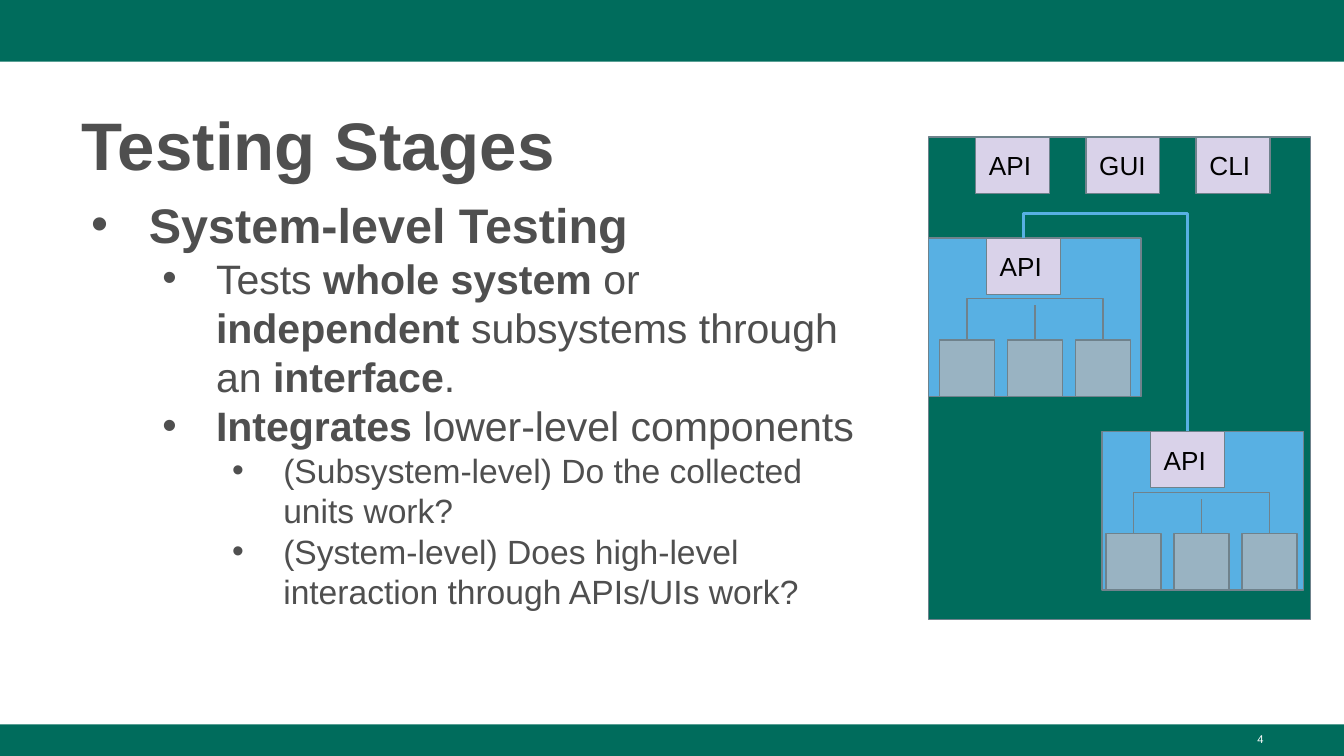
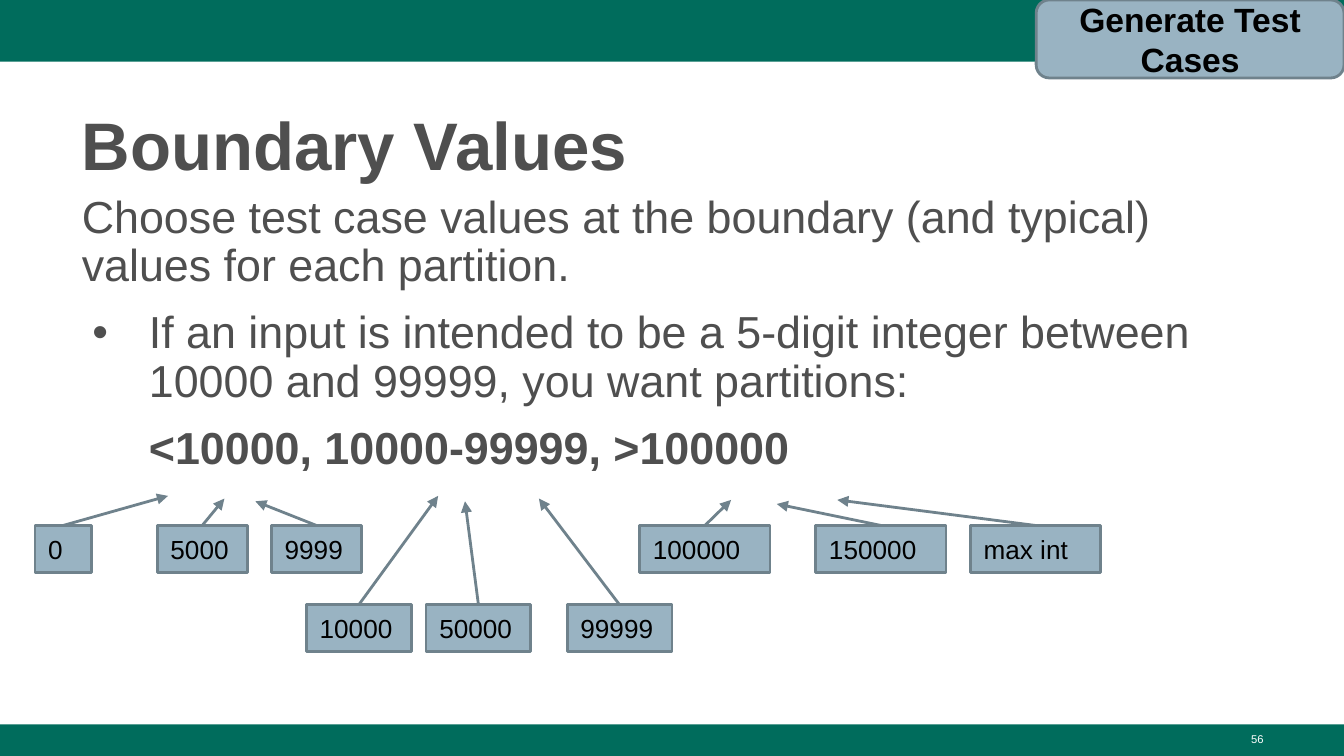
import dataclasses

import lxml.etree
import pptx
import pptx.dml.color
import pptx.enum.shapes
import pptx.enum.text
import pptx.oxml.ns
import pptx.util

Inches = pptx.util.Inches
Pt = pptx.util.Pt
qn = pptx.oxml.ns.qn
SHAPE = pptx.enum.shapes.MSO_SHAPE
CONNECTOR = pptx.enum.shapes.MSO_CONNECTOR
ALIGN = pptx.enum.text.PP_ALIGN
ANCHOR = pptx.enum.text.MSO_ANCHOR


@dataclasses.dataclass(frozen=True)
class Theme:
    font: str = "Arial"
    green: str = "006C5C"
    gray: str = "4F4F4F"
    black: str = "000000"
    white: str = "FFFFFF"
    outline: str = "6F828C"
    lilac: str = "D9D2E9"
    blue: str = "58B0E3"
    steel: str = "99B3C2"
    title_size: int = 36
    heading_size: int = 26
    point_size: int = 22
    detail_size: int = 18
    prose_size: int = 24
    label_size: int = 14
    tag_size: int = 18
    number_size: int = 6
    thin: float = 0.75
    thick: float = 1.5


THEME = Theme()

SLIDE_WIDTH = 10
SLIDE_HEIGHT = SLIDE_WIDTH * 9 / 16
FOOTER_TOP = 5.39
BANDS = [(0, 0, SLIDE_WIDTH, 0.46),
         (0, FOOTER_TOP, SLIDE_WIDTH, SLIDE_HEIGHT - FOOTER_TOP)]
TITLE_BOX = (0.51, 0.67, 8.99, 0.73)
NUMBER_BOX = (7.17, 5.4, 2.33, 0.23)

HEADING = dict(size=THEME.heading_size, indent=(0.5, -0.43), bullet=True)
POINT = dict(size=THEME.point_size, level=1, indent=(1, -0.4), bullet=True)
DETAIL = dict(size=THEME.detail_size, level=2, indent=(1.5, -0.38), bullet=True)
PROSE = dict(size=THEME.prose_size, spacing=0.9)

STAGES = {
    "title": "Testing Stages",
    "number": "4",
    "body_box": (0.51, 1.4, 6.03, 3.81),
    "body": [
        (HEADING, [("System-level Testing", True)]),
        (POINT, [("Tests ", False), ("whole system", True), (" or ", False),
                 ("independent", True), (" subsystems through an ", False),
                 ("interface", True), (".", False)]),
        (POINT, [("Integrates", True), (" lower-level components", False)]),
        (DETAIL, [("(Subsystem-level) Do the collected units work?", False)]),
        (DETAIL, [("(System-level) Does high-level interaction through APIs/UIs work?", False)]),
    ],
}
SYSTEM_BOX = (6.91, 1.02, 2.84, 3.59)
INTERFACES = ["API", "GUI", "CLI"]
INTERFACE_LEFT, INTERFACE_PITCH = 7.26, 0.82
INTERFACE_SIZE = (0.55, 0.42)
SUBSYSTEMS = [
    dict(left=6.91, top=1.77, width=1.58, api_left=7.34, units_left=6.99),
    dict(left=8.2, top=3.21, width=1.5, api_left=8.56, units_left=8.23),
]
SUBSYSTEM_HEIGHT = 1.18
UNIT_COUNT, UNIT_SPAN, UNIT_SIZE = 3, 1.01, (0.41, 0.42)
UNIT_RISE, SUBSYSTEM_RISE = 0.26, 0.18

BOUNDARIES = {
    "title": "Boundary Values",
    "number": "56",
    "body_box": (0.51, 1.4, 8.99, 3.81),
    "body": [
        (PROSE, [("Choose test case values at the boundary (and typical) values "
                  "for each partition.", False)]),
        (dict(PROSE, before=10, indent=(0.5, -0.42), bullet=True),
         [("If an input is intended to be a 5-digit integer between 10000 and 99999, "
           "you want partitions:", False)]),
        (dict(PROSE, before=10, indent=(0, 0.5)), [("<10000, 10000-99999, >100000", True)]),
    ],
}
UPPER_ROW, LOWER_ROW, VALUE_HEIGHT = 3.91, 4.5, 0.35
VALUES = [
    ("0", 0.26, UPPER_ROW, 0.42, (1.25, 3.69)),
    ("5000", 1.17, UPPER_ROW, 0.67, (1.67, 3.71)),
    ("9999", 2.02, UPPER_ROW, 0.67, (1.9, 3.73)),
    ("10000", 2.28, LOWER_ROW, 0.78, (3.26, 3.69)),
    ("50000", 3.17, LOWER_ROW, 0.78, (3.46, 3.73)),
    ("99999", 4.22, LOWER_ROW, 0.78, (4.01, 3.71)),
    ("100000", 4.76, UPPER_ROW, 0.97, (5.44, 3.72)),
    ("150000", 6.07, UPPER_ROW, 0.97, (5.78, 3.75)),
    ("max int", 7.22, UPPER_ROW, 0.97, (6.23, 3.72)),
]
PHASE_TAG = "Generate Test Cases"
PHASE_TAG_BOX = (7.71, 0, 2.29, 0.58)


def inches(lengths):
    return [Inches(length) for length in lengths]


def rgb(color):
    return pptx.dml.color.RGBColor.from_string(color)


def style_runs(paragraph, size, color, bold=False):
    for run in paragraph.runs:
        run.font.name = THEME.font
        run.font.size = Pt(size)
        run.font.bold = bold
        run.font.color.rgb = rgb(color)


def add_box(slide, box, fill, line_width=None, label="", size=THEME.label_size,
            bold=False, align=ALIGN.LEFT, preset=SHAPE.RECTANGLE):
    shape = slide.shapes.add_shape(preset, *inches(box))
    shape.shadow.inherit = False
    shape.fill.solid()
    shape.fill.fore_color.rgb = rgb(fill)
    if line_width:
        shape.line.color.rgb = rgb(THEME.outline)
        shape.line.width = Pt(line_width)
    else:
        shape.line.fill.background()
    if label:
        frame = shape.text_frame
        frame.text = label
        frame.word_wrap = True
        frame.vertical_anchor = ANCHOR.MIDDLE
        frame.margin_left = frame.margin_right = Inches(0.1)
        frame.margin_top = frame.margin_bottom = Inches(0.1)
        frame.paragraphs[0].alignment = align
        style_runs(frame.paragraphs[0], size, THEME.black, bold)
    return shape


def add_line(slide, start, end, width, color=THEME.outline, arrow=False, kind=CONNECTOR.STRAIGHT):
    line = slide.shapes.add_connector(kind, *inches(start + end))
    line.line.color.rgb = rgb(color)
    line.line.width = Pt(width)
    properties = line._element.spPr
    if arrow:
        lxml.etree.SubElement(properties.find(qn("a:ln")), qn("a:tailEnd"), type="triangle")
    lxml.etree.SubElement(properties, qn("a:effectLst"))
    return line


def add_bracket(slide, start, end, rise, width, color=THEME.outline):
    across = end[0] - start[0]
    drop = max(end[1] - start[1], 0.001)
    middle_x, middle_y = (start[0] + end[0]) / 2, (start[1] + end[1]) / 2
    bracket = add_line(slide, (middle_x - drop / 2, middle_y - across / 2),
                       (middle_x + drop / 2, middle_y + across / 2),
                       width, color, kind=CONNECTOR.ELBOW)
    properties = bracket._element.spPr
    frame = properties.find(qn("a:xfrm"))
    frame.set("rot", str(270 * 60000))
    frame.set("flipH", "1")
    geometry = properties.find(qn("a:prstGeom"))
    adjustments = geometry.find(qn("a:avLst"))
    if adjustments is None:
        adjustments = lxml.etree.SubElement(geometry, qn("a:avLst"))
    lxml.etree.SubElement(adjustments, qn("a:gd"), name="adj1",
                          fmla=f"val {round(-rise / drop * 100000)}")


def add_bullet(paragraph):
    properties = paragraph._p.get_or_add_pPr()
    color = lxml.etree.SubElement(properties, qn("a:buClr"))
    lxml.etree.SubElement(color, qn("a:srgbClr"), val=THEME.gray)
    lxml.etree.SubElement(properties, qn("a:buFont"), typeface=THEME.font)
    lxml.etree.SubElement(properties, qn("a:buChar"), char="•")


def add_body(slide, box, content):
    frame = slide.shapes.add_textbox(*inches(box)).text_frame
    frame.word_wrap = True
    for index, (style, parts) in enumerate(content):
        paragraph = frame.add_paragraph() if index else frame.paragraphs[0]
        paragraph.level = style.get("level", 0)
        if style.get("bullet"):
            add_bullet(paragraph)
        margin, first_line = style.get("indent", (0, 0))
        properties = paragraph._p.get_or_add_pPr()
        properties.set("marL", str(Inches(margin)))
        properties.set("indent", str(Inches(first_line)))
        paragraph.line_spacing = style.get("spacing", 1.0)
        if "before" in style:
            paragraph.space_before = Pt(style["before"])
        for text, _ in parts:
            paragraph.add_run().text = text
        style_runs(paragraph, style["size"], THEME.gray)
        for run, (_, bold) in zip(paragraph.runs, parts):
            run.font.bold = bold


def add_bands(slide):
    layout_tree = slide.slide_layout.shapes._spTree
    for position, band in enumerate(BANDS, start=2):
        layout_tree.insert(position, add_box(slide, band, THEME.green)._element)


def add_slide(deck, content):
    slide = deck.slides.add_slide(deck.slide_layouts[5])
    title = slide.shapes.title
    title.left, title.top, title.width, title.height = inches(TITLE_BOX)
    title.text_frame.text = content["title"]
    title.text_frame.auto_size = pptx.enum.text.MSO_AUTO_SIZE.NONE
    title.text_frame.vertical_anchor = ANCHOR.TOP
    heading = title.text_frame.paragraphs[0]
    heading.alignment = ALIGN.LEFT
    heading.line_spacing = 1.08
    style_runs(heading, THEME.title_size, THEME.gray, True)

    add_body(slide, content["body_box"], content["body"])

    number = slide.shapes.add_textbox(*inches(NUMBER_BOX)).text_frame
    number.word_wrap = True
    number.text = content["number"]
    number.paragraphs[0].alignment = ALIGN.RIGHT
    style_runs(number.paragraphs[0], THEME.number_size, THEME.white)
    return slide


def add_interface(slide, left, top, label):
    add_box(slide, (left, top, *INTERFACE_SIZE), THEME.lilac, THEME.thin, label)


def add_subsystem(slide, left, top, width, api_left, units_left):
    add_box(slide, (left, top, width, SUBSYSTEM_HEIGHT), THEME.blue, THEME.thin)
    add_interface(slide, api_left, top, "API")
    unit_width, unit_height = UNIT_SIZE
    unit_top = top + SUBSYSTEM_HEIGHT - unit_height
    centers = []
    for index in range(UNIT_COUNT):
        unit_left = units_left + index * UNIT_SPAN / (UNIT_COUNT - 1)
        add_box(slide, (unit_left, unit_top, *UNIT_SIZE), THEME.steel, THEME.thin)
        centers.append(unit_left + unit_width / 2)
    first, middle, last = centers
    add_bracket(slide, (first, unit_top), (last, unit_top), UNIT_RISE, THEME.thin)
    add_line(slide, (middle, unit_top), (middle, unit_top - UNIT_RISE), THEME.thin)


def add_system(slide):
    add_box(slide, SYSTEM_BOX, THEME.green, THEME.thin)
    for index, label in enumerate(INTERFACES):
        add_interface(slide, INTERFACE_LEFT + index * INTERFACE_PITCH, SYSTEM_BOX[1], label)
    for subsystem in SUBSYSTEMS:
        add_subsystem(slide, **subsystem)
    api_tops = [(subsystem["api_left"] + INTERFACE_SIZE[0] / 2, subsystem["top"])
                for subsystem in SUBSYSTEMS]
    add_bracket(slide, *api_tops, SUBSYSTEM_RISE, THEME.thick, THEME.blue)


def add_values(slide):
    for label, left, top, width, target in VALUES:
        add_box(slide, (left, top, width, VALUE_HEIGHT), THEME.steel, THEME.thick, label)
        add_line(slide, (left + width / 2, top), target, THEME.thick, arrow=True)
    add_box(slide, PHASE_TAG_BOX, THEME.steel, THEME.thick, PHASE_TAG, THEME.tag_size,
            True, ALIGN.CENTER, SHAPE.ROUNDED_RECTANGLE)


def main():
    deck = pptx.Presentation()
    deck.slide_width, deck.slide_height = inches((SLIDE_WIDTH, SLIDE_HEIGHT))
    stages = add_slide(deck, STAGES)
    add_bands(stages)
    add_system(stages)
    add_values(add_slide(deck, BOUNDARIES))
    deck.save("out.pptx")


if __name__ == "__main__":
    main()
